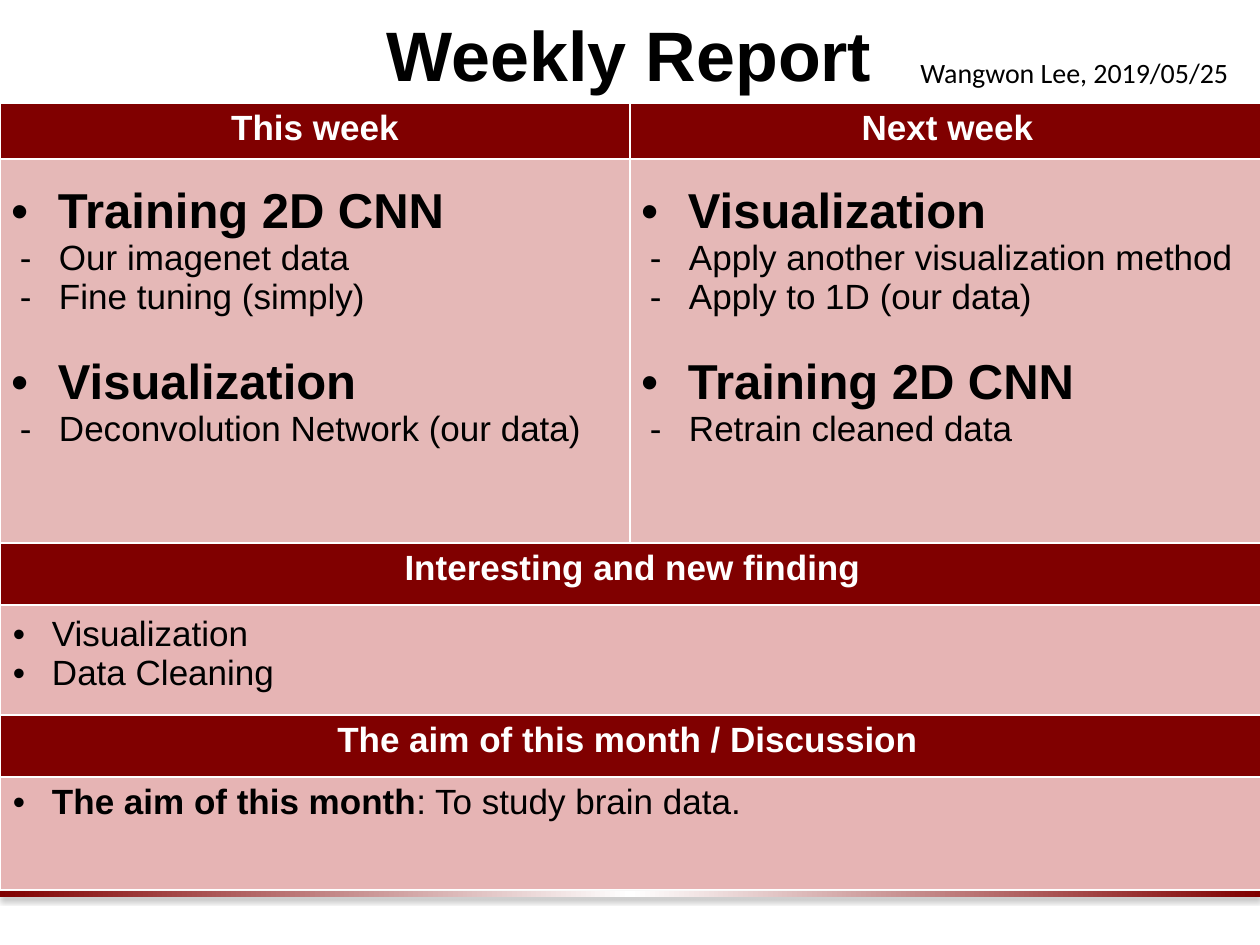
from lxml import etree
from pptx import Presentation
from pptx import util as u
from pptx.dml.color import RGBColor
from pptx.enum import shapes, text
from pptx.oxml import parse_xml
from pptx.oxml.ns import qn

SCALE = 914400 / 126
NS = 'xmlns:a="http://schemas.openxmlformats.org/drawingml/2006/main"'
HUES = {"ink": "000000", "paper": "FFFFFF", "dark": "800000",
        "rose": "E5B8B7", "pink": "E6B4B4"}


def px(*nums):
    return [u.Emu(round(n * SCALE)) for n in nums]


def write(frame, lines):
    for i, line in enumerate(lines):
        para = frame.paragraphs[0] if i == 0 else frame.add_paragraph()
        para.alignment = line.get("align")
        para.space_before = u.Pt(line.get("gap", 0))
        if "mark" in line:
            ppr = para._p.get_or_add_pPr()
            left, hang = px(*line["dent"])
            ppr.set("marL", str(left))
            ppr.set("indent", str(-hang))
            font = etree.SubElement(ppr, qn("a:buFont"))
            font.set("typeface", "Arial")
            etree.SubElement(ppr, qn("a:buChar")).set("char", line["mark"])
        for words, bold in line["runs"]:
            run = para.add_run()
            run.text = words
            look = {"name": line.get("face", "Arial"),
                    "size": u.Pt(line.get("size", 20)), "bold": bold}
            for key, val in look.items():
                setattr(run.font, key, val)
            run.font.color.rgb = RGBColor.from_string(HUES[line.get("hue", "ink")])


deck = Presentation()
deck.slide_width, deck.slide_height = px(1260, 945)
slide = deck.slides.add_slide(deck.slide_layouts[6])
mid = text.PP_ALIGN.CENTER

bar = slide.shapes.add_shape(shapes.MSO_SHAPE.RECTANGLE, *px(0, 891, 1260, 6))
bar.line.fill.background()
bar.fill.gradient()
bar.fill.gradient_angle = 0
stops = bar._element.spPr.find(qn("a:gradFill")).find(qn("a:gsLst"))
for stop in list(stops):
    stops.remove(stop)
for spot, hue in ((0, "dark"), (50, "paper"), (100, "dark")):
    stop = etree.SubElement(stops, qn("a:gs"), pos=str(spot * 1000))
    etree.SubElement(stop, qn("a:srgbClr"), val=HUES[hue])
bar._element.spPr.append(parse_xml(
    f'<a:effectLst {NS}><a:outerShdw blurRad="39370" dist="22860" dir="5400000" '
    f'rotWithShape="0"><a:srgbClr val="{HUES["ink"]}"><a:alpha val="35000"/>'
    '</a:srgbClr></a:outerShdw></a:effectLst>'))

labels = [
    ((1, 4, 1256, 100), text.MSO_ANCHOR.MIDDLE,
     {"runs": [("Weekly Report", True)], "size": 40, "align": mid}),
    ((908, 49, 355, 50), text.MSO_ANCHOR.TOP,
     {"runs": [("Wangwon Lee, 2019/05/25", False)], "size": 16, "face": "Calibri"}),
]
for place, anchor, line in labels:
    frame = slide.shapes.add_textbox(*px(*place)).text_frame
    for key, val in {"word_wrap": True, "vertical_anchor": anchor}.items():
        setattr(frame, key, val)
    write(frame, [line])

wide, high = (630, 635), (56, 384, 62, 110, 62, 113)
grid = slide.shapes.add_table(6, 2, *px(0, 103, sum(wide), sum(high))).table
grid.horz_banding = False
for col, size in zip(grid.columns, px(*wide)):
    col.width = size
for row, size in zip(grid.rows, px(*high)):
    row.height = size
for r in range(2, 6):
    grid.cell(r, 0).merge(grid.cell(r, 1))

heads = {(0, 0): "This week", (0, 1): "Next week",
         (2, 0): "Interesting and new finding",
         (4, 0): "The aim of this month / Discussion "}
plans = [
    [("Training 2D CNN", ["Our imagenet data", "Fine tuning (simply)"]),
     ("Visualization", ["Deconvolution Network (our data)"])],
    [("Visualization", ["Apply another visualization method", "Apply to 1D (our data)"]),
     ("Training 2D CNN", ["Retrain cleaned data"])],
]
notes = {3: [[("Visualization", False)], [("Data Cleaning", False)]],
         5: [[("The aim of this month", True), (": To study brain data.", False)]]}

cells = [(spot, "dark", 13, 6, [{"runs": [(words, True)], "hue": "paper", "align": mid}])
         for spot, words in heads.items()]
for c, plan in enumerate(plans):
    lines = []
    for i, (topic, tasks) in enumerate(plan):
        lines.append({"runs": [(topic, True)], "size": 28, "mark": "•",
                      "dent": (58, 47), "gap": 22 * i})
        lines += [{"runs": [(task, False)], "mark": "-", "dent": (59, 39)}
                  for task in tasks]
    cells.append(((1, c), "rose", 0, 25, lines))
for r, items in notes.items():
    lines = [{"runs": runs, "mark": "•", "dent": (39, 39)} for runs in items]
    cells.append(((r, 0), "pink", 13, 10 if r == 3 else 6, lines))

for spot, hue, side, edge, lines in cells:
    cell = grid.cell(*spot)
    cell.fill.solid()
    cell.fill.fore_color.rgb = RGBColor.from_string(HUES[hue])
    pads = {"margin_left": side, "margin_right": side,
            "margin_top": edge, "margin_bottom": edge}
    for key, val in pads.items():
        setattr(cell, key, px(val)[0])
    write(cell.text_frame, lines)

deck.save("out.pptx")
